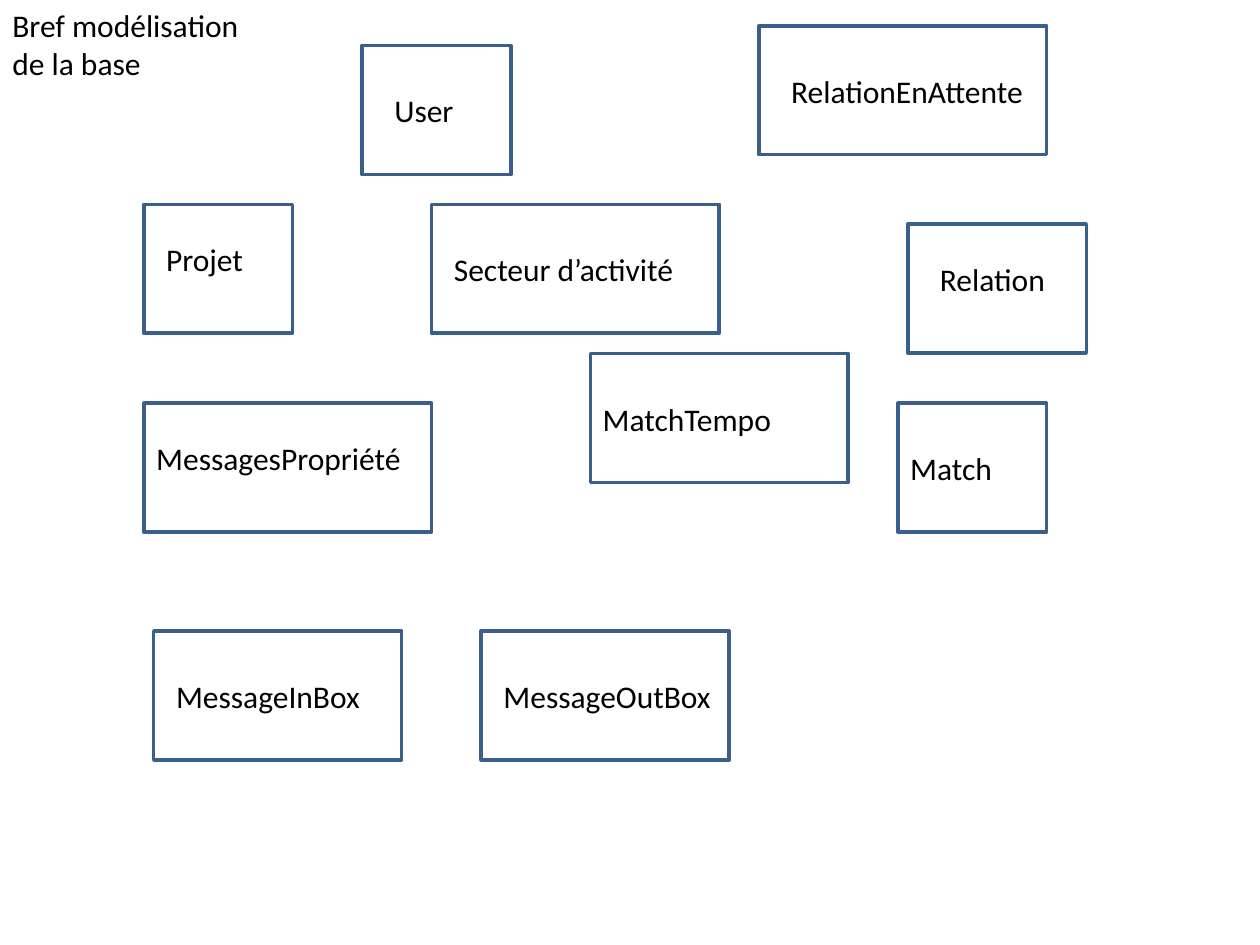
from pptx import Presentation
from pptx.dml.color import RGBColor
from pptx.enum.shapes import MSO_SHAPE
from pptx.enum.text import MSO_AUTO_SIZE
from pptx.util import Cm, Pt

COLORS = {"outline": "3A5F8C", "text": "000000"}
FONT_FORMAT = {"name": "Calibri", "size": Pt(18)}
BOX_HEIGHT = 2.6
LABEL_HEIGHT = 1.03

# name, box left, top, width, label indent, label drop, label width (cm)
ENTITIES = [
    ("User", 7.3, 0.92, 3, 0.4, 0.8, 3.4),
    ("Secteur d’activité", 8.7, 4.12, 5.8, 0.2, 0.8, 5),
    ("Projet", 2.9, 4.12, 3, 0.2, 0.6, 2.4),
    ("MatchTempo", 11.9, 7.13, 5.2, 0, 0.8, 5.4),
    ("MessagesPropriété", 2.9, 8.13, 5.8, 0, 0.6, 5.8),
    ("MessageInBox", 3.1, 12.72, 5, 0.2, 0.8, 4.6),
    ("MessageOutBox", 9.7, 12.72, 5, 0.2, 0.8, 5.2),
    ("RelationEnAttente", 15.3, 0.52, 5.8, 0.4, 0.8, 6.2),
    ("Relation", 18.3, 4.52, 3.6, 0.4, 0.6, 3),
    ("Match", 18.1, 8.13, 3, 0, 0.8, 3),
]

presentation = Presentation()
presentation.slide_width = Cm(25.4)
presentation.slide_height = Cm(19.05)
slide = presentation.slides.add_slide(presentation.slide_layouts[6])


def add_label(text, left, top, width, height=LABEL_HEIGHT):
    """Add a wrapped text box, with lengths in centimetres."""
    label = slide.shapes.add_textbox(Cm(left), Cm(top), Cm(width), Cm(height))
    frame = label.text_frame
    frame.word_wrap = True
    frame.auto_size = MSO_AUTO_SIZE.SHAPE_TO_FIT_TEXT
    run = frame.paragraphs[0].add_run()
    run.text = text
    for attribute, value in FONT_FORMAT.items():
        setattr(run.font, attribute, value)
    run.font.color.rgb = RGBColor.from_string(COLORS["text"])


def add_box(left, top, width):
    """Add an unfilled entity rectangle, with lengths in centimetres."""
    box = slide.shapes.add_shape(
        MSO_SHAPE.RECTANGLE, Cm(left), Cm(top), Cm(width), Cm(BOX_HEIGHT)
    )
    box.shadow.inherit = False
    box.fill.background()
    box.line.color.rgb = RGBColor.from_string(COLORS["outline"])
    box.line.width = Pt(2)


for name, left, top, width, indent, drop, label_width in ENTITIES:
    add_box(left, top, width)
    add_label(name, left + indent, top + drop, label_width)

add_label("Bref modélisation de la base", 0, 0, 5.7, 1.8)

presentation.save("out.pptx")
